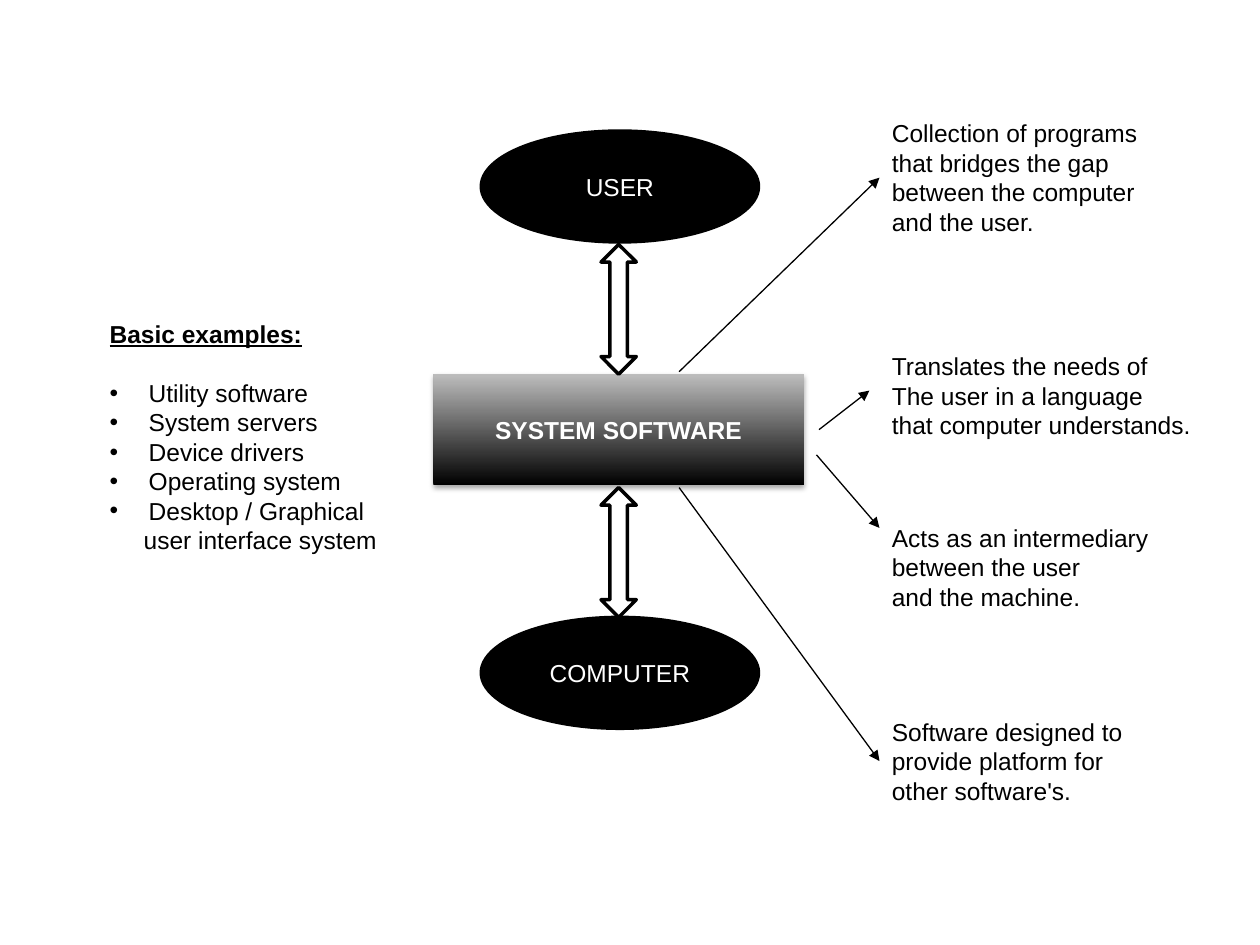
from lxml import etree
from pptx import Presentation
from pptx import util as u
from pptx.dml.color import RGBColor
from pptx.enum import shapes, text
from pptx.oxml import parse_xml
from pptx.oxml.ns import nsdecls, qn

COLS, ROWS = 100, 75
BLACK, WHITE, GREY = "000000", "FFFFFF", "BDBDBD"
KIND = shapes.MSO_SHAPE


def tint(code):
    return RGBColor.from_string(code)


class Board:
    """Holds the style and the slide; lengths are grid columns and rows."""
    font, size = "Arial", 14

    def __init__(self, deck):
        self.slide = deck.slides.add_slide(deck.slide_layouts[1])
        self.cell_w = deck.slide_width / COLS
        self.cell_h = deck.slide_height / ROWS

    def grid(self, x, y):
        return u.Emu(round(x * self.cell_w)), u.Emu(round(y * self.cell_h))

    def place(self, item, x, y, w, h):
        item.left, item.top = self.grid(x, y)
        item.width, item.height = self.grid(w, h)

    def run(self, para, words, color=BLACK, bold=False, under=False):
        font = para.add_run().font
        para.runs[-1].text = words
        font.name, font.size = self.font, u.Pt(self.size)
        font.bold, font.underline = bold, under
        font.color.rgb = tint(color)

    def lines(self, frame, rows, **look):
        """Write left-aligned rows from the top of a frame."""
        frame.word_wrap = False
        frame.auto_size = text.MSO_AUTO_SIZE.NONE
        frame.vertical_anchor = text.MSO_ANCHOR.TOP
        for i, words in enumerate(rows):
            para = frame.add_paragraph() if i else frame.paragraphs[0]
            para.alignment = text.PP_ALIGN.LEFT
            para.space_before = u.Pt(0)
            self.run(para, words, **look)
        return frame.paragraphs

    def title(self, words, *box):
        item = self.slide.shapes.title
        self.place(item, *box)
        self.lines(item.text_frame, [words], bold=True, under=True)

    def bullets(self, rows, tail, *box):
        """List the rows; the tail continues the last one with no bullet."""
        item = self.slide.placeholders[1]
        self.place(item, *box)
        for para in self.lines(item.text_frame, rows + [tail]):
            last = para.runs[0].text == tail
            props = para._p.get_or_add_pPr()
            props.set("marL", str(u.Inches(0.27 if last else 0.31)))
            props.set("indent", str(0 if last else -u.Inches(0.31)))
            if last:
                etree.SubElement(props, qn("a:buNone"))
            else:
                etree.SubElement(props, qn("a:buChar")).set("char", "•")

    def note(self, rows, *box):
        item = self.slide.shapes.add_textbox(0, 0, 0, 0)
        self.place(item, *box)
        self.lines(item.text_frame, rows)

    def shape(self, kind, fill, *box, words="", bold=False):
        item = self.slide.shapes.add_shape(kind, 0, 0, 0, 0)
        self.place(item, *box)
        item.shadow.inherit = False
        item.fill.solid()
        item.fill.fore_color.rgb = tint(fill)
        item.line.color.rgb = tint(BLACK)
        item.line.width = u.Pt(2)
        if words:
            frame = item.text_frame
            frame.vertical_anchor = text.MSO_ANCHOR.MIDDLE
            para = frame.paragraphs[0]
            para.alignment = text.PP_ALIGN.CENTER
            self.run(para, words, WHITE, bold)
        return item

    def panel(self, words, *box):
        """Shaded rectangle with a soft shadow beneath it."""
        item = self.shape(KIND.RECTANGLE, BLACK, *box, words=words, bold=True)
        item.line.fill.background()
        item.fill.gradient()
        item.fill.gradient_angle = 90
        for stop, code in zip(item.fill.gradient_stops, (BLACK, GREY)):
            stop.color.rgb = tint(code)
        item._element.spPr.find(qn("a:effectLst")).append(parse_xml(
            f'<a:outerShdw {nsdecls("a")} blurRad="{u.Pt(3.1)}" '
            f'dist="{u.Pt(1.8)}" dir="5400000" rotWithShape="0">'
            f'<a:srgbClr val="{BLACK}"><a:alpha val="35000"/></a:srgbClr>'
            '</a:outerShdw>'))

    def arrow(self, start, end):
        item = self.slide.shapes.add_connector(
            shapes.MSO_CONNECTOR.STRAIGHT, *self.grid(*start), *self.grid(*end))
        item.line.color.rgb = tint(BLACK)
        item.line.width = u.Pt(0.75)
        etree.SubElement(item.line._get_or_add_ln(),
                         qn("a:tailEnd")).set("type", "triangle")
        etree.SubElement(item._element.spPr, qn("a:effectLst"))


def main():
    deck = Presentation()
    deck.slide_width, deck.slide_height = u.Inches(10), u.Inches(7.5)
    board = Board(deck)

    # Examples on the left
    board.title("Basic examples:", 7.7, 24.8, 23.3, 3.5)
    board.bullets(["Utility software", "System servers", "Device drivers",
                   "Operating system", "Desktop / Graphical"],
                  "user interface system", 7.7, 29.5, 23.3, 15.2)

    # Central column: user, software, computer
    for words, y in (("USER", 10.4), ("COMPUTER", 49)):
        board.shape(KIND.OVAL, BLACK, 38.2, y, 22, 8.8, words=words)
    board.panel("SYSTEM SOFTWARE", 34.4, 29.7, 29.4, 8.8)
    for y in (19.4, 38.7):
        board.shape(KIND.UP_DOWN_ARROW, WHITE, 47.7, y, 2.8, 10.3)

    # Roles on the right, each with its arrow
    roles = [
        (8.9, ["Collection of programs", "that bridges the gap",
               "between the computer", "and the user."],
         (53.9, 29.5), (69.8, 14.1)),
        (27.4, ["Translates the needs of", "The user in a language",
                "that computer understands."],
         (65, 34.1), (69, 31)),
        (41, ["Acts as an intermediary", "between the user",
              "and the machine."],
         (64.8, 36.1), (69.8, 41.9)),
        (56.4, ["Software designed to", "provide platform for",
                "other software's."],
         (53.9, 38.7), (69.8, 60.4)),
    ]
    for y, rows, start, end in roles:
        board.note(rows, 69.8, y, 25.8, 1.1 + 2.33 * len(rows))
        board.arrow(start, end)

    deck.save("out.pptx")


if __name__ == "__main__":
    main()
